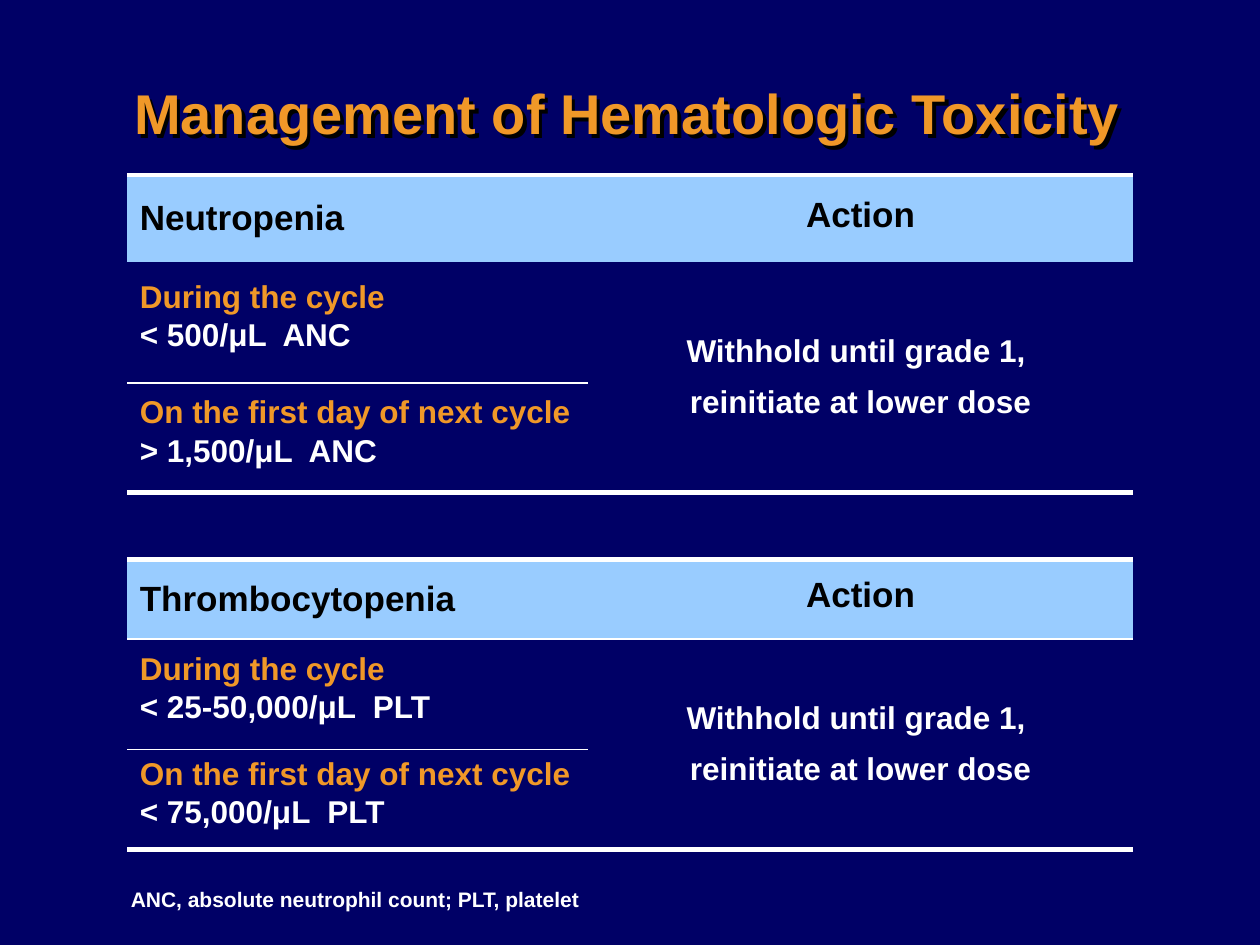
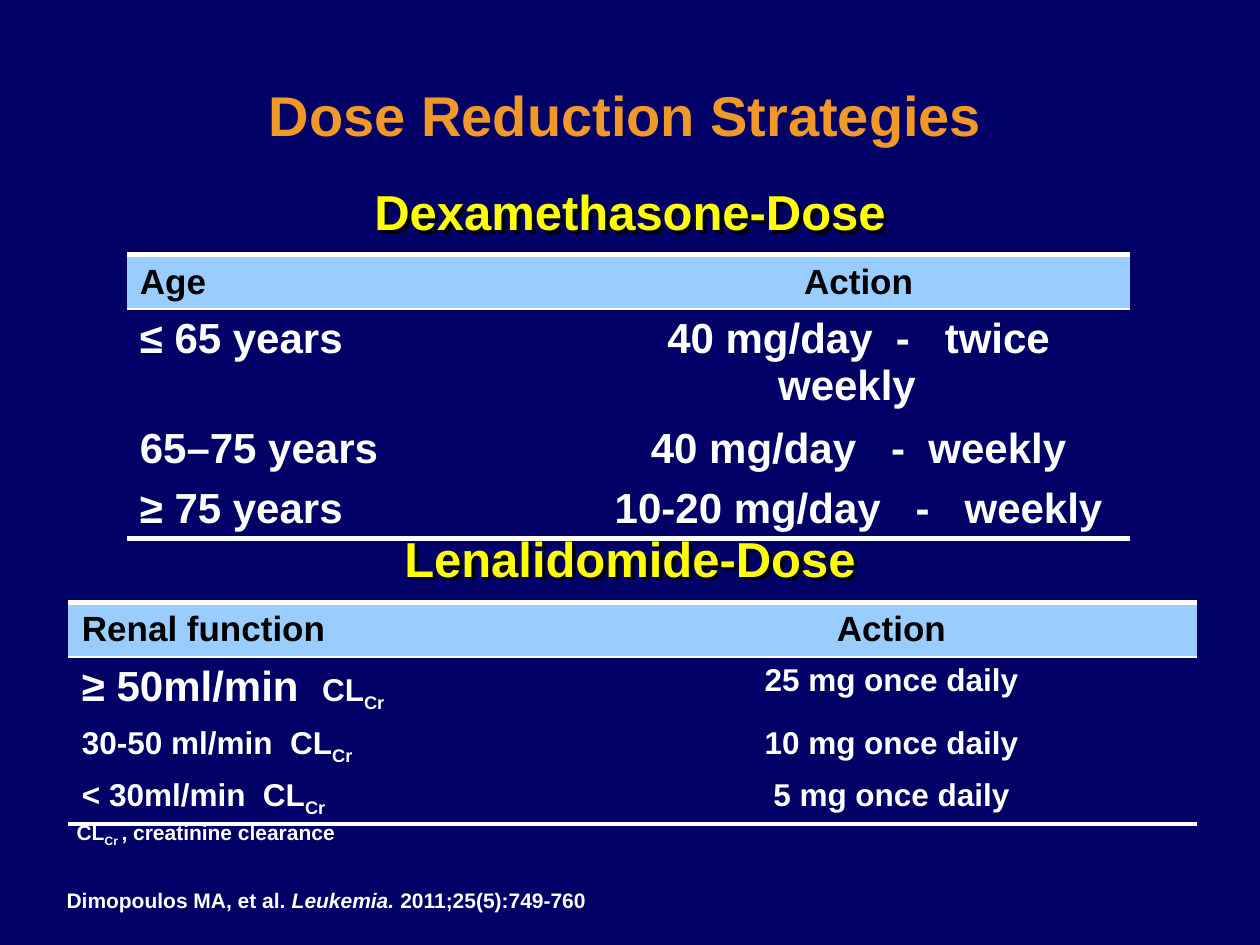
"""Build two slides on managing toxicity and reducing doses."""
from dataclasses import dataclass
from typing import Any, NamedTuple

import lxml.etree
import pptx
import pptx.dml.color
import pptx.enum.text
import pptx.oxml.ns
import pptx.util

Inches = pptx.util.Inches
Pt = pptx.util.Pt
RGB = pptx.dml.color.RGBColor
Align = pptx.enum.text.PP_ALIGN
Anchor = pptx.enum.text.MSO_ANCHOR
qn = pptx.oxml.ns.qn

NAVY = RGB(0x00, 0x00, 0x66)
ORANGE = RGB(0xF0, 0x98, 0x28)
YELLOW = RGB(0xFF, 0xFF, 0x00)
SKY = RGB(0x99, 0xCC, 0xFF)
WHITE = RGB(0xFF, 0xFF, 0xFF)
BLACK = RGB(0x00, 0x00, 0x00)
FONT = "Arial"
PLAIN = "{2D5ABB26-0587-4C30-8999-92F81FD0307C}"
THICK, THIN, NONE = 3, 1, 0


class Bit(NamedTuple):
    """A run of text that differs from its line."""
    text: str
    size: float | None = None
    color: RGB | None = None
    slant: bool = False
    sub: bool = False


class Cell(NamedTuple):
    """A table cell with its lines, text format and anchor."""
    lines: list
    look: dict[str, Any]
    anchor: Any = Anchor.MIDDLE


class Box(NamedTuple):
    """A text box with its place, lines and text format."""
    left: float
    top: float
    width: float
    height: float
    lines: list
    look: dict[str, Any]
    anchor: Any = Anchor.TOP
    shadow: bool = False


@dataclass
class Grid:
    """A two-column table under a coloured header."""
    left: float
    top: float
    cols: list[float]
    rows: list[float]
    heads: list[Cell]
    body: list[list[Cell | None]]
    rule: bool = True
    split: bool = False
    pad: float = 0.1
    foot: float = 0.05


def shade(shape: Any) -> None:
    """Give the text of an unfilled shape a hard black shadow."""
    effects = lxml.etree.SubElement(shape._element.spPr, qn("a:effectLst"))
    drop = lxml.etree.SubElement(effects, qn("a:outerShdw"), dist="38100", dir="2700000", algn="tl")
    lxml.etree.SubElement(drop, qn("a:srgbClr"), val=str(BLACK))


def write(frame: Any, lines: list, *, size: float = 18, color: RGB = WHITE,
          align: Any = Align.LEFT, lead: float = 1.0, gap: float = 0) -> None:
    """Fill a text frame with lines made of strings or bits."""
    for index, line in enumerate(lines):
        para = frame.paragraphs[0] if index == 0 else frame.add_paragraph()
        para.alignment = align
        para.line_spacing = lead
        para.space_before = Pt(gap if index else 0)
        for part in line if isinstance(line, list) else [line]:
            bit = Bit(part) if isinstance(part, str) else part
            run = para.add_run()
            run.text = bit.text
            run.font.name = FONT
            run.font.bold = True
            run.font.italic = bit.slant
            run.font.size = Pt(bit.size or size)
            run.font.color.rgb = bit.color or color
            if bit.sub:
                run._r.get_or_add_rPr().set("baseline", "-25000")


def frame_cell(cell: Any, above: float, below: float) -> None:
    """Set all four borders of a cell, leaving the sides open."""
    props = cell._tc.get_or_add_tcPr()
    widths = {"L": NONE, "R": NONE, "T": above, "B": below}
    for index, (side, width) in enumerate(widths.items()):
        line = lxml.etree.Element(qn(f"a:ln{side}"), w=str(Pt(width)))
        if width:
            fill = lxml.etree.SubElement(line, qn("a:solidFill"))
            lxml.etree.SubElement(fill, qn("a:srgbClr"), val=str(WHITE))
        else:
            lxml.etree.SubElement(line, qn("a:noFill"))
        props.insert(index, line)


def weight(grid: Grid, r: int, c: int) -> float:
    """Return the width of the rule above row r in column c."""
    if r in (0, len(grid.rows)):
        return THICK
    if r == 1:
        return THIN if grid.rule else NONE
    return THIN if grid.split and c == 0 else NONE


def draw_box(slide: Any, box: Box) -> None:
    """Add a text box to the slide."""
    shape = slide.shapes.add_textbox(*map(Inches, box[:4]))
    shape.text_frame.word_wrap = True
    shape.text_frame.vertical_anchor = box.anchor
    write(shape.text_frame, box.lines, **box.look)
    if box.shadow:
        shade(shape)


def draw_grid(slide: Any, grid: Grid) -> None:
    """Add a table with its header, rules and merged cells."""
    cells = [grid.heads, *grid.body]
    place = [grid.left, grid.top, sum(grid.cols), sum(grid.rows)]
    table = slide.shapes.add_table(len(cells), len(grid.cols), *map(Inches, place)).table
    table.first_row = table.horz_banding = False
    table._tbl.tblPr.find(qn("a:tableStyleId")).text = PLAIN
    for col, width in zip(table.columns, grid.cols):
        col.width = Inches(width)
    for row, height in zip(table.rows, grid.rows):
        row.height = Inches(height)
    for r, line in enumerate(cells):
        for c, item in enumerate(line):
            cell = table.cell(r, c)
            cell.margin_left = cell.margin_right = Inches(grid.pad)
            if r == 0:
                cell.fill.solid()
                cell.fill.fore_color.rgb = SKY
            else:
                cell.fill.background()
                cell.margin_bottom = Inches(grid.foot)
            joined = r + 1 < len(cells) and cells[r + 1][c] is None
            frame_cell(cell, weight(grid, r, c), THICK if joined else weight(grid, r + 1, c))
            if item:
                write(cell.text_frame, item.lines, **item.look)
                cell.vertical_anchor = item.anchor
            else:
                table.cell(r - 1, c).merge(cell)


CENTER = {"align": Align.CENTER}
HEAD = {"size": 20, "color": BLACK}
TITLE = {"size": 32, "color": ORANGE, **CENTER}
BAND = {"size": 28, "color": YELLOW, "lead": 0.9, **CENTER}
NOTE = {"size": 12, "lead": 0.6}
LARGE = {"size": 24}
CR = Bit("Cr", sub=True)


def heads(name: str, lead: float = 1.0) -> list[Cell]:
    """Return the header cells of a table."""
    return [Cell([name], HEAD), Cell(["Action"], {**HEAD, **CENTER, "lead": lead})]


def phase(name: str, count: str) -> Cell:
    """Return a cell with a phase of the cycle and its count."""
    return Cell([[Bit(name, color=ORANGE)], count], {"lead": 0.5, "gap": 11.7})


def blood(name: str, top: float, rows: list[float], during: str, first: str, rule: bool) -> Grid:
    """Return a table for one blood count."""
    act = Cell(["Withhold until grade 1, ", "reinitiate at lower dose"], {"gap": 9, **CENTER})
    body = [[phase("During the cycle", during), act],
            [phase("On the first day of next cycle", first), None]]
    return Grid(1.01, top, [3.66, 4.32], rows, heads(name, 0.75), body, rule, split=True)


def dose(name: str, left: float, top: float, cols: list[float], rows: list[float],
         pairs: list[tuple], look: dict[str, Any], pad: float) -> Grid:
    """Return a table of dose steps."""
    body = [[Cell([case], look, Anchor.TOP), Cell([act], {**look, **CENTER}, Anchor.TOP)]
            for case, act in pairs]
    return Grid(left, top, cols, rows, heads(name), body, pad=pad, foot=0.02)


def band(name: str, top: float) -> Box:
    """Return the heading above a dose table."""
    return Box(0.37, top, 9.26, 1.25, [name], BAND, Anchor.MIDDLE, True)


AGES = [("≤ 65 years", "40 mg/day  -   twice weekly  "),
        ("65–75 years", "40 mg/day   -  weekly"),
        ("≥ 75 years", "10-20 mg/day   -   weekly")]
RENAL = [([Bit("≥ 50ml/min  ", size=24), "CL", CR], "25 mg once daily"),
         (["30-50 ml/min  CL", CR], "10 mg once daily"),
         (["< 30ml/min  CL", CR], "5 mg once daily")]

SLIDES = [
    [Box(0.35, 0.3, 9.26, 1.25, ["Management of Hematologic Toxicity"],
         {**TITLE, "lead": 0.9}, Anchor.MIDDLE, True),
     blood("Neutropenia", 1.39, [0.69, 0.96, 0.87], "< 500/μL  ANC", "> 1,500/μL  ANC", False),
     blood("Thrombocytopenia", 4.44, [0.63, 0.88, 0.79], "< 25-50,000/μL  PLT", "< 75,000/μL  PLT", True),
     Box(0.94, 7.06, 9.0, 0.23, ["ANC, absolute neutrophil count; PLT, platelet"], NOTE)],
    [band("Dexamethasone-Dose", 1.08),
     dose("Age", 1.01, 2.02, [3.65, 4.31], [0.42, 0.84, 0.48, 0.46], AGES, LARGE, 0.1),
     band("Lenalidomide-Dose", 3.83),
     dose("Renal function", 0.54, 4.78, [4.11, 4.85], [0.42, 0.49, 0.42, 0.41], RENAL, {}, 0.11),
     Box(0.51, 6.51, 7.95, 0.23, [["CL", Bit("Cr ", sub=True), ", creatinine clearance"]], NOTE),
     Box(0.43, 6.99, 5.82, 0.3,
         [["Dimopoulos MA, et al. ", Bit("Leukemia.", slant=True), " 2011;25(5):749-760"]],
         {"size": 12}, Anchor.BOTTOM),
     Box(1.85, 0.59, 6.23, 0.64, ["Dose Reduction Strategies"], TITLE)],
]


def main() -> None:
    """Draw every slide and save the deck."""
    deck = pptx.Presentation()
    deck.slide_width, deck.slide_height = Inches(10), Inches(7.5)
    for items in SLIDES:
        slide = deck.slides.add_slide(deck.slide_layouts[6])
        slide.background.fill.solid()
        slide.background.fill.fore_color.rgb = NAVY
        for item in items:
            if isinstance(item, Grid):
                draw_grid(slide, item)
            else:
                draw_box(slide, item)
    deck.save("out.pptx")


if __name__ == "__main__":
    main()
